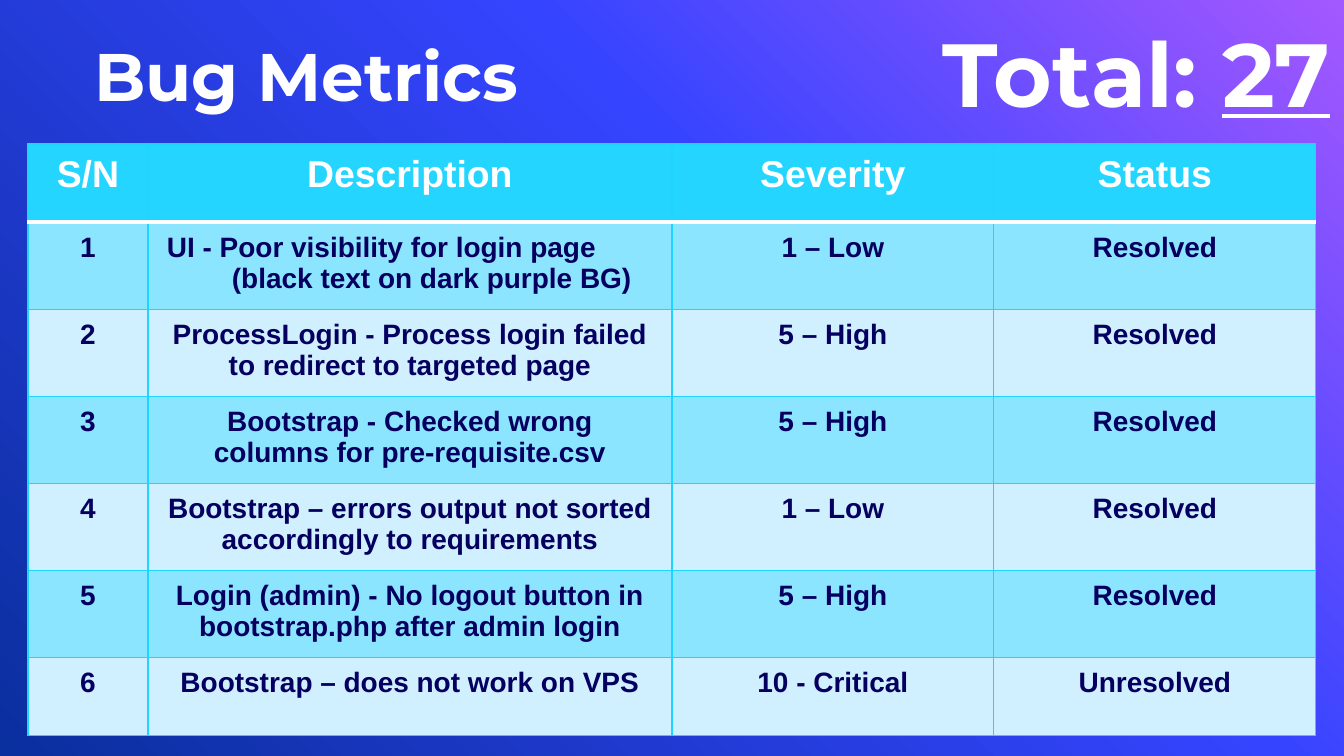
from copy import deepcopy

from lxml import etree
from pptx import Presentation
from pptx.dml.color import RGBColor as Rgb
from pptx.enum.text import MSO_ANCHOR as Anchor, PP_ALIGN as Align
from pptx.oxml.ns import qn
from pptx.util import Emu, Pt

HUES = {
    "white": "FFFFFF", "navy": "050060", "head": "24D6FF", "line": "1ED5FF",
    "odd": "8CE5FF", "even": "D0EFFF",
    "pink": "A458FF", "blue": "3544FF", "deep": "0A2F9E",
}
HEADS = ["S/N", "Description", "Severity", "Status"]
BUGS = [
    ("UI - Poor visibility for login page\n(black text on dark purple BG)", "1 – Low", "Resolved"),
    ("ProcessLogin - Process login failed to redirect to targeted page", "5 – High", "Resolved"),
    ("Bootstrap - Checked wrong columns for pre-requisite.csv", "5 – High", "Resolved"),
    ("Bootstrap – errors output not sorted accordingly to requirements", "1 – Low", "Resolved"),
    ("Login (admin) - No logout button in bootstrap.php after admin login", "5 – High", "Resolved"),
    ("Bootstrap – does not work on VPS", "10 - Critical", "Unresolved"),
]
COLS = [120, 524, 322, 322]
SCALE = 9144000 / 1344


def px(n):
    return Emu(round(n * SCALE))


def put(item, vals):
    for key, val in vals.items():
        setattr(item, key, val)


class Deck:
    def __init__(self, wide, high):
        self.show = Presentation()
        put(self.show, {"slide_width": px(wide), "slide_height": px(high)})
        self.slide = self.show.slides.add_slide(self.show.slide_layouts[6])

    def back(self, stops, angle):
        fill = self.slide.background.fill
        fill.gradient()
        fill.gradient_angle = angle
        group = next(self.slide.element.iter(qn("a:gsLst")))
        while len(group) < len(stops):
            group.append(deepcopy(group[0]))
        for stop, (pos, hue) in zip(fill.gradient_stops, stops):
            stop.position = pos
            stop.color.rgb = Rgb.from_string(HUES[hue])

    def run(self, para, text, size, face, hue, **more):
        run = para.add_run()
        run.text = text
        put(run.font, {"size": Pt(size), "name": face, "bold": True, **more})
        run.font.color.rgb = Rgb.from_string(HUES[hue])

    def text(self, box, parts, size, align):
        frame = self.slide.shapes.add_textbox(*map(px, box)).text_frame
        put(frame, {"word_wrap": True, "vertical_anchor": Anchor.BOTTOM,
                    "margin_left": 0, "margin_right": 0,
                    "margin_top": 0, "margin_bottom": 0})
        para = frame.paragraphs[0]
        para.alignment = align
        for words, under in parts:
            self.run(para, words, size, "Montserrat", "white", underline=under)

    def edge(self, cell, sides):
        props = cell._tc.get_or_add_tcPr()
        for spot, (side, (hue, width)) in enumerate(sides.items()):
            line = etree.Element(qn(f"a:ln{side}"), w=str(Pt(width)))
            solid = etree.SubElement(line, qn("a:solidFill"))
            etree.SubElement(solid, qn("a:srgbClr"), val=HUES[hue])
            props.insert(spot, line)

    def cell(self, cell, text, size, hue, fill, sides):
        put(cell, {"margin_left": px(19), "margin_right": px(19),
                   "margin_top": px(10), "margin_bottom": px(10)})
        cell.fill.solid()
        cell.fill.fore_color.rgb = Rgb.from_string(HUES[fill])
        self.edge(cell, sides)
        lines = text.split("\n")
        for i, words in enumerate(lines):
            para = cell.text_frame.add_paragraph() if i else cell.text_frame.paragraphs[0]
            para.alignment = Align.LEFT if len(lines) > 1 else Align.CENTER
            if i:  # step the second line in
                para._p.get_or_add_pPr().set("marL", str(px(65)))
            self.run(para, words, size, "Arial", hue)

    def table(self, left, top, cols, highs, rows):
        box = map(px, (left, top, sum(cols), sum(highs)))
        grid = self.slide.shapes.add_table(len(rows), len(cols), *box).table
        for col, wide in zip(grid.columns, cols):
            col.width = px(wide)
        thin, thick = ("line", 0.75), ("white", 2)
        for r, (row, high) in enumerate(zip(rows, highs)):
            grid.rows[r].height = px(high)
            size, hue = (15, "navy") if r else (20, "white")
            fill = ("odd" if r % 2 else "even") if r else "head"
            sides = {"L": thin, "R": thin,
                     "T": thick if r == 1 else thin,
                     "B": thin if r else thick}
            for c, text in enumerate(row):
                self.cell(grid.cell(r, c), text, size, hue, fill, sides)


def main():
    deck = Deck(1344, 756)
    deck.back([(0, "pink"), (0.39, "blue"), (1, "deep")], 225)

    # Title
    deck.text((0, 17, 612, 98), [("Bug Metrics", False)], 36, Align.CENTER)

    # Bug table
    rows = [HEADS] + [(str(n), *bug) for n, bug in enumerate(BUGS, 1)]
    highs = [78] + [86 + n % 2 for n in range(1, len(BUGS))] + [78]
    deck.table(28, 144, COLS, highs, rows)

    # Total
    deck.text((943, 8, 401, 117), [("Total: ", False), ("27", True)], 48, Align.LEFT)

    deck.show.save("out.pptx")


if __name__ == "__main__":
    main()
